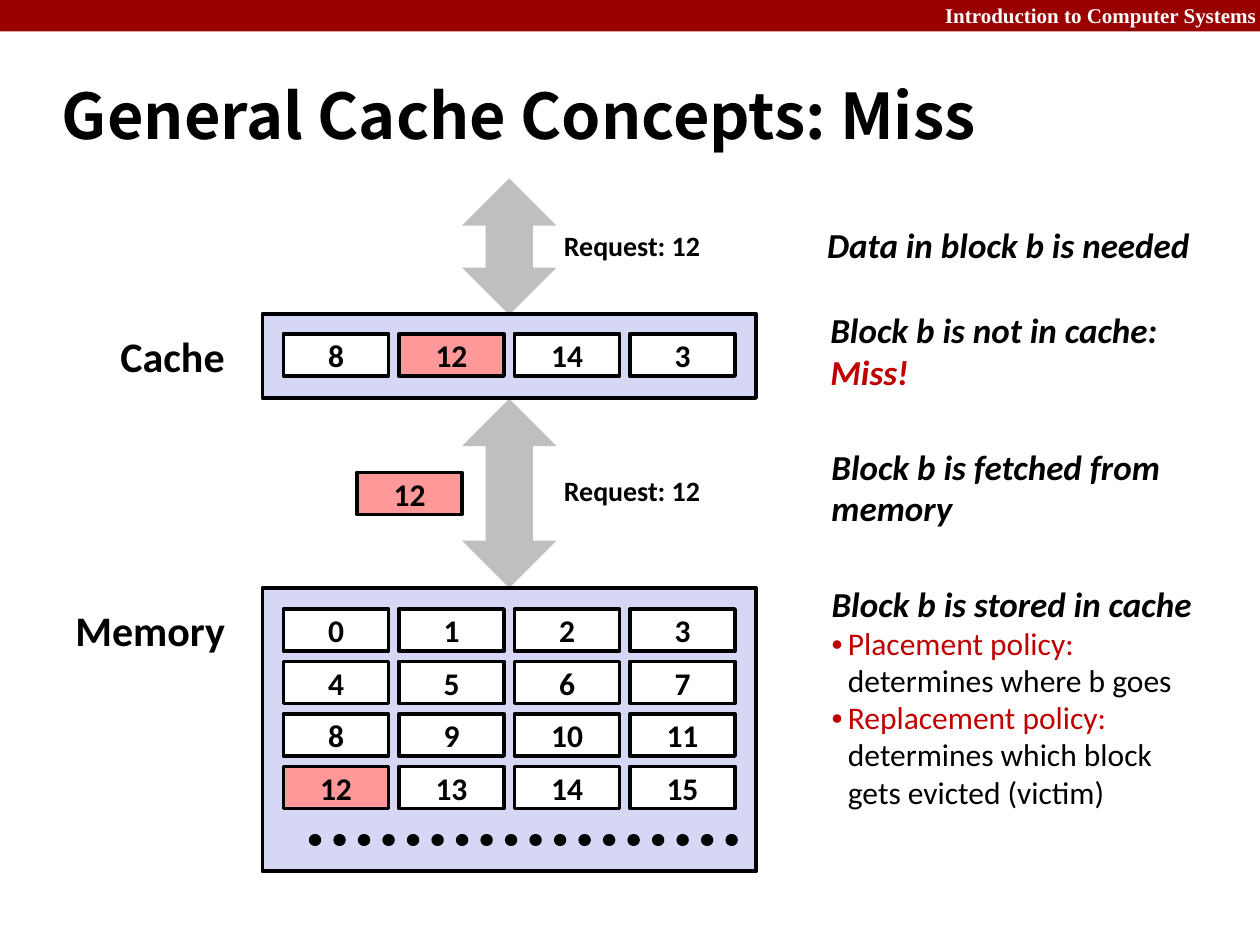
from lxml import etree
from pptx import Presentation
from pptx.dml.color import RGBColor
from pptx.enum.dml import MSO_LINE
from pptx.enum.shapes import MSO_CONNECTOR, MSO_SHAPE
from pptx.enum.text import MSO_ANCHOR, MSO_AUTO_SIZE, PP_ALIGN
from pptx.oxml.ns import qn
from pptx.util import Inches, Pt

BLACK = RGBColor(0x00, 0x00, 0x00)
WHITE = RGBColor(0xFF, 0xFF, 0xFF)
MAROON = RGBColor(0x99, 0x00, 0x00)
RED = RGBColor(0xC0, 0x00, 0x00)
GRAY = RGBColor(0xBF, 0xBF, 0xBF)
LILAC = RGBColor(0xD6, 0xD6, 0xF5)
PINK = RGBColor(0xFF, 0x99, 0x99)

RECT, ARROW = MSO_SHAPE.RECTANGLE, MSO_SHAPE.UP_DOWN_ARROW
LEFT, CENTER, RIGHT = PP_ALIGN.LEFT, PP_ALIGN.CENTER, PP_ALIGN.RIGHT
TOP, MIDDLE = MSO_ANCHOR.TOP, MSO_ANCHOR.MIDDLE
FIT, FIXED = MSO_AUTO_SIZE.SHAPE_TO_FIT_TEXT, MSO_AUTO_SIZE.NONE

CELL = Inches(1) / 12  # the slide is 120 columns by 90 rows
BLOCK_W, BLOCK_H = 10, 4
STEP_X, STEP_Y = 11, 5
BLOCK_X = 27


def grid(*cells):
    return [round(c * CELL) for c in cells]


def write(frame, *paras, size=18, font="Calibri", color=BLACK, bold=True,
          italic=False, align=LEFT, anchor=TOP, wrap=False, fit=FIT,
          spacing=None, hang=0, bullet=None, start=0):
    """Fill paragraphs from index start; each is a string or (text, color) pairs."""
    frame.word_wrap, frame.auto_size, frame.vertical_anchor = wrap, fit, anchor
    for i, para in enumerate(paras, start):
        p = frame.add_paragraph() if i else frame.paragraphs[0]
        props = p._p.get_or_add_pPr()
        props.set("marL", str(Inches(hang)))
        props.set("indent", str(-Inches(hang)))
        if bullet:
            etree.SubElement(props, qn("a:buChar"), char=bullet)
        else:
            etree.SubElement(props, qn("a:buNone"))
        p.alignment, p.space_before = align, Pt(0)
        if spacing:
            p.line_spacing = spacing
        for text, tint in [(para, color)] if isinstance(para, str) else para:
            for n, line in enumerate(text.split("\n")):
                if n:
                    p.add_line_break()
                run = p.add_run()
                run.text = line
                run.font.name, run.font.size = font, Pt(size)
                run.font.bold, run.font.italic = bold, italic
                run.font.color.rgb = tint


class Deck:
    """Holds the slide and the style of each kind of element."""

    note_style = dict(size=20, italic=True, anchor=MIDDLE, spacing=0.98)

    def __init__(self):
        self.file = Presentation()
        self.file.slide_width, self.file.slide_height = grid(120, 90)
        self.slide = self.file.slides.add_slide(self.file.slide_layouts[1])
        self.shapes = self.slide.shapes

    def shape(self, kind, area, fill, line=None):
        shape = self.shapes.add_shape(kind, *grid(*area))
        shape.shadow.inherit = False
        shape.fill.solid()
        shape.fill.fore_color.rgb = fill
        if line is None:
            shape.line.fill.background()
        else:
            shape.line.color.rgb = line
            shape.line.width = Pt(2.25)
        return shape

    def block(self, x, y, label, fill=WHITE):
        shape = self.shape(RECT, (x, y, BLOCK_W, BLOCK_H), fill, BLACK)
        write(shape.text_frame, label, align=CENTER, anchor=MIDDLE, fit=FIXED)

    def blocks(self, y, rows):
        """Draw rows of numbered blocks, with block 12 marked."""
        for r, row in enumerate(rows):
            for c, number in enumerate(row):
                self.block(BLOCK_X + c * STEP_X, y + r * STEP_Y, str(number),
                           PINK if number == 12 else WHITE)

    def label(self, area, *paras, **style):
        box = self.shapes.add_textbox(*grid(*area))
        write(box.text_frame, *paras, **style)

    def note(self, area, *paras):
        self.label(area, *paras, **self.note_style)

    def holder(self, index, area):
        """Move a placeholder and return its text frame."""
        shape = self.slide.placeholders[index]
        shape.left, shape.top, shape.width, shape.height = grid(*area)
        return shape.text_frame

    def dots(self, x1, x2, y):
        line = self.shapes.add_connector(MSO_CONNECTOR.STRAIGHT, *grid(x1, y, x2, y))
        line.line.color.rgb = BLACK
        line.line.width = Pt(7)
        line.line.dash_style = MSO_LINE.ROUND_DOT
        props = line._element.spPr
        props.find(qn("a:ln")).set("cap", "rnd")
        etree.SubElement(props, qn("a:effectLst"))


def main():
    deck = Deck()
    deck.shape(RECT, (0, 0, 120, 3), MAROON)
    deck.label((72, -0.36, 48.84, 3.6), "Introduction to Computer Systems", size=12,
               font="Times New Roman", color=WHITE, align=RIGHT, wrap=True)
    write(deck.holder(0, (4.7, 5.9, 99.6, 10)), "General Cache Concepts: Miss",
          size=36, font="Noto Sans CJK SC", anchor=MIDDLE, wrap=True, fit=FIXED,
          hang=0.13)

    for top, height in ((17, 13), (38, 18)):
        deck.shape(ARROW, (44, top, 9, height), GRAY)
    for top, height in ((29.9, 8), (56, 27)):
        deck.shape(RECT, (25, top, 47, height), LILAC, BLACK)
    deck.blocks(31.8, [(8, 12, 14, 3)])
    deck.blocks(58, [range(n, n + 4) for n in range(0, 16, 4)])
    deck.block(34, 45, "12", PINK)
    deck.dots(30, 70, 80)

    deck.label((10.3, 30.9, 12.5, 6), "Cache", size=24)
    deck.label((6, 57, 16.8, 6), "Memory", size=24)
    for top in (21.2, 44.5):
        deck.label((52.4, top, 15.6, 4.4), "Request: 12", size=16, align=CENTER)

    deck.note((77.6, 20.8, 37.1, 5.2), "Data in block b is needed")
    deck.note((77.9, 29, 33.7, 9.1), "Block b is not in cache:", [("Miss!", RED)])
    deck.note((78, 42, 34, 9.1), "Block b is fetched from", "memory")

    body = deck.holder(1, (78, 55, 36.8, 23))
    write(body, "Block b is stored in cache", **deck.note_style)
    write(body,
          [("Placement policy:\n", RED), ("determines where b goes", BLACK)],
          [("Replacement policy:\n", RED),
           ("determines which block\ngets evicted (victim)", BLACK)],
          bold=False, anchor=MIDDLE, spacing=0.98, hang=0.13, bullet="•", start=1)

    deck.file.save("out.pptx")


if __name__ == "__main__":
    main()
